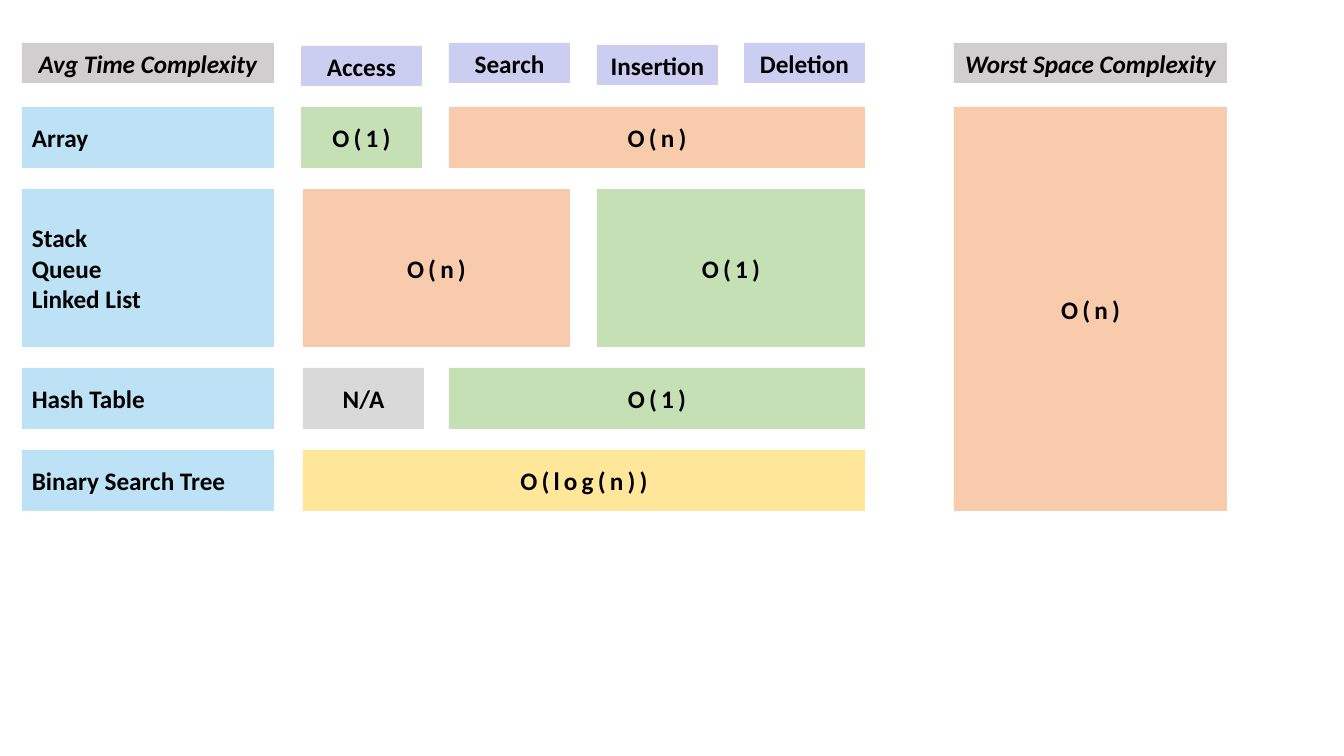
from pptx import Presentation
from pptx.dml.color import RGBColor
from pptx.enum.shapes import MSO_SHAPE
from pptx.enum.text import MSO_ANCHOR, PP_ALIGN
from pptx.util import Pt

COLORS = {
    "text": "000000", "title": "D0CECE", "operation": "CBCDF1", "structure": "BDE2F5",
    "good": "C5E0B4", "fair": "FFE699", "poor": "F8CBAD", "none": "D9D9D9",
}

# Content: operations with their top edge, in pixels
OPERATIONS = [("Access", 46), ("Search", 43), ("Insertion", 45), ("Deletion", 43)]
# Structures, row height, left of the Access column,
# then cells as (text, first column, last column, rating)
ROWS = [
    (["Array"], 61, 301, [("O(1)", 0, 0, "good"), ("O(n)", 1, 3, "poor")]),
    (["Stack", "Queue", "Linked List"], 158, 303,
     [("O(n)", 0, 1, "poor"), ("O(1)", 2, 3, "good")]),
    (["Hash Table"], 61, 303, [("N/A", 0, 0, "none"), ("O(1)", 1, 3, "good")]),
    (["Binary Search Tree"], 61, 303, [("O(log(n))", 0, 3, "fair")]),
]

# Layout, in pixels
EMU_PER_PIXEL = 914400 / 100.8
HEADER_TOP, HEADER_HEIGHT = 43, 40
STRUCTURE_LEFT, STRUCTURE_WIDTH = 22, 252
SPACE_LEFT, SPACE_WIDTH = 954, 273
COLUMN_LEFTS = [301, 449, 597, 744]
COLUMN_WIDTH = 121
ROWS_TOP, ROW_GAP = 107, 21


def emu(pixels):
    return round(pixels * EMU_PER_PIXEL)


presentation = Presentation()
presentation.slide_width, presentation.slide_height = emu(1344), emu(756)
slide = presentation.slides.add_slide(presentation.slide_layouts[6])


def add_box(lines, left, top, width, height, color,
            align=PP_ALIGN.CENTER, italic=None, spacing=None):
    shape = slide.shapes.add_shape(
        MSO_SHAPE.RECTANGLE, *map(emu, (left, top, width, height)))
    shape.shadow.inherit = False
    shape.fill.solid()
    shape.fill.fore_color.rgb = RGBColor.from_string(COLORS[color])
    shape.line.fill.background()
    frame = shape.text_frame
    frame.word_wrap = True
    frame.vertical_anchor = MSO_ANCHOR.MIDDLE
    for index, line in enumerate(lines):
        paragraph = frame.add_paragraph() if index else frame.paragraphs[0]
        paragraph.alignment = align
        run = paragraph.add_run()
        run.text = line
        run.font.name, run.font.size = "Calibri", Pt(18)
        run.font.bold, run.font.italic = True, italic
        run.font.color.rgb = RGBColor.from_string(COLORS["text"])
        if spacing:
            run.font._element.set("spc", str(spacing * 100))


# Headers
add_box(["Avg Time Complexity"], STRUCTURE_LEFT, HEADER_TOP, STRUCTURE_WIDTH,
        HEADER_HEIGHT, "title", italic=True)
add_box(["Worst Space Complexity"], SPACE_LEFT, HEADER_TOP, SPACE_WIDTH,
        HEADER_HEIGHT, "title", italic=True)
for (operation, top), left in zip(OPERATIONS, COLUMN_LEFTS):
    add_box([operation], left, top, COLUMN_WIDTH, HEADER_HEIGHT, "operation")

# Rows of structures and their time complexity
top = ROWS_TOP
for structures, height, access_left, cells in ROWS:
    add_box(structures, STRUCTURE_LEFT, top, STRUCTURE_WIDTH, height, "structure",
            align=PP_ALIGN.LEFT)
    lefts = [access_left] + COLUMN_LEFTS[1:]
    for text, first, last, rating in cells:
        width = lefts[last] + COLUMN_WIDTH - lefts[first]
        add_box([text], lefts[first], top, width, height, rating,
                spacing=None if rating == "none" else 3)
    top += height + ROW_GAP

# Space complexity, shared by all rows
add_box(["O(n)"], SPACE_LEFT, ROWS_TOP, SPACE_WIDTH, top - ROW_GAP - ROWS_TOP, "poor",
        spacing=3)

presentation.save("out.pptx")
